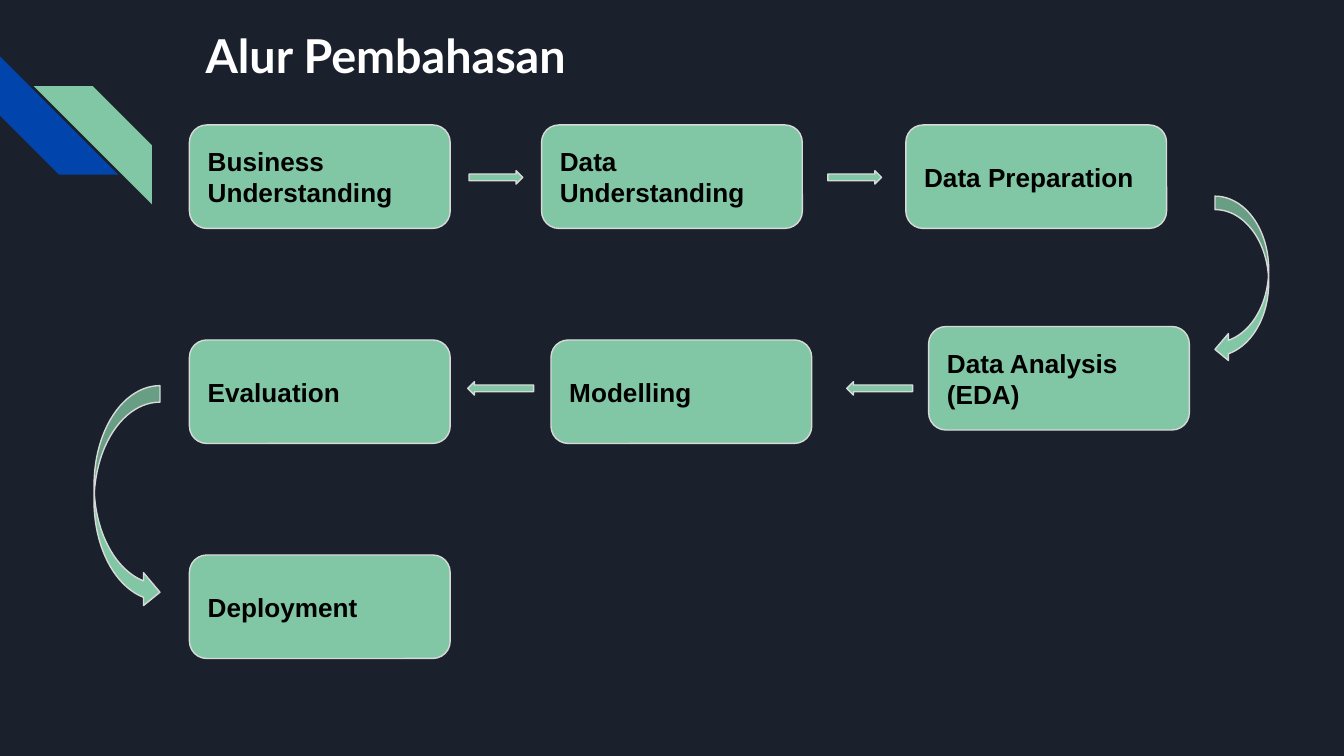
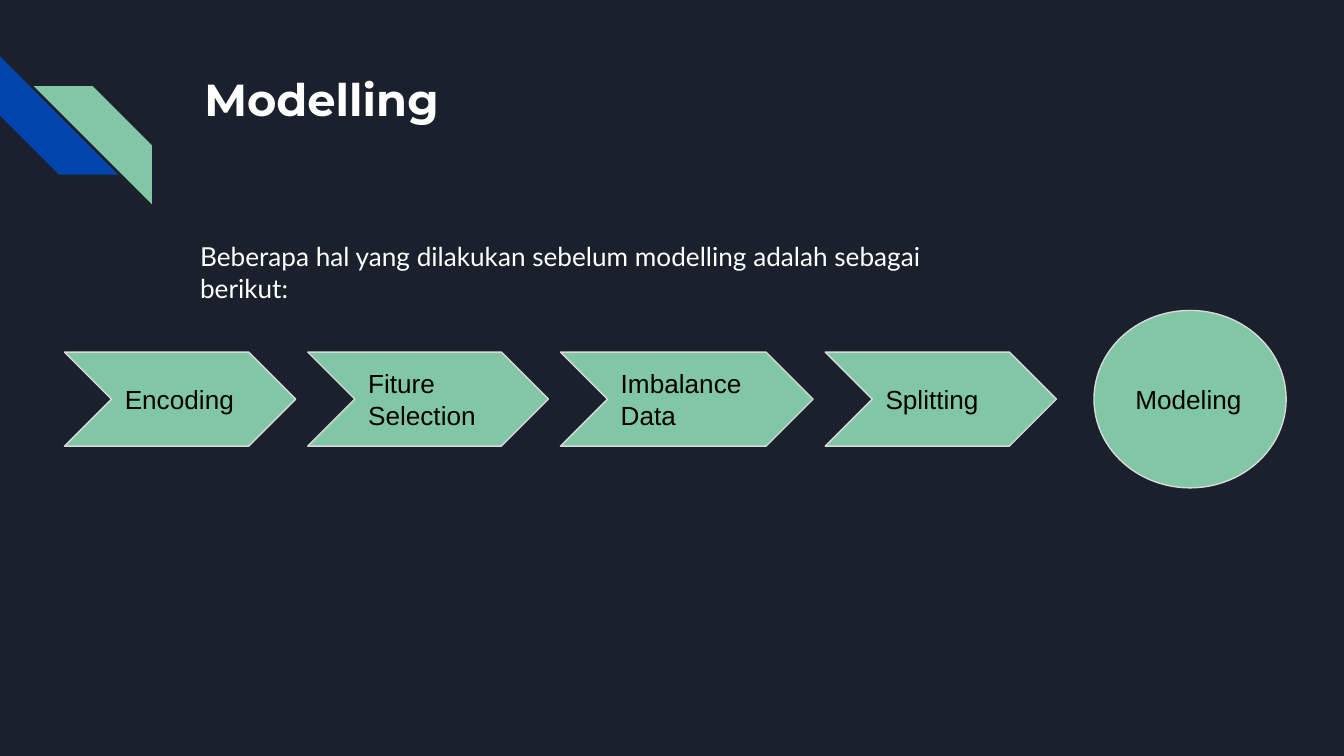
from pptx import Presentation
from pptx import util as u
from pptx.dml.color import RGBColor
from pptx.enum import shapes, text

In = u.Inches
Kind = shapes.MSO_SHAPE
NAVY, BLUE, GREEN = "1B212C", "0145AC", "82C7A5"
GREY, WHITE, BLACK = "D9D9D9", "FFFFFF", "000000"


def paint(fmt, color):
    fmt.solid()
    fmt.fore_color.rgb = RGBColor.from_string(color)


def draw(slide, kind, box, words="", fill=GREEN, line=GREY, ink=BLACK,
         font="Arial", bold=False, anchor=text.MSO_ANCHOR.MIDDLE):
    shape = slide.shapes.add_shape(kind, *map(In, box))
    shape.shadow.inherit = False
    paint(shape.fill, fill)
    if line:
        paint(shape.line.fill, line)
        shape.line.width = u.Pt(0.75)
    else:
        shape.line.fill.background()
    frame = shape.text_frame
    look = {"word_wrap": True, "vertical_anchor": anchor}
    look.update({f"margin_{side}": In(0.1)
                 for side in ("left", "top", "right", "bottom")})
    for name, value in look.items():
        setattr(frame, name, value)
    frame.text = words
    for para in frame.paragraphs:
        para.alignment = text.PP_ALIGN.LEFT
        for name, value in {"name": font, "size": u.Pt(14), "bold": bold}.items():
            setattr(para.font, name, value)
        paint(para.font.fill, ink)
    return shape


# Widescreen page, 16 to 9
prs = Presentation()
prs.slide_width = In(10)
prs.slide_height = In(10) * 9 // 16
master = prs.slide_master
paint(master.background.fill, NAVY)

# Slides and their titles
heads = [
    ("Alur Pembahasan", (1.43, 0.1, 6.06, 0.62), "Lato", 25),
    ("Modelling", (1.42, 0.43, 7.7, 1), "Montserrat", 24),
]
for words, box, font, size in heads:
    slide = prs.slides.add_slide(prs.slide_layouts[5])
    title = slide.shapes.title
    for name, value in zip(("left", "top", "width", "height"), box):
        setattr(title, name, In(value))
    frame = title.text_frame
    frame.text = words
    look = {"margin_left": In(0.1), "margin_top": In(0.1),
            "margin_right": In(0.1), "margin_bottom": In(0.1),
            "vertical_anchor": text.MSO_ANCHOR.TOP, "word_wrap": True,
            "auto_size": text.MSO_AUTO_SIZE.NONE}
    for name, value in look.items():
        setattr(frame, name, value)
    para = frame.paragraphs[0]
    para.alignment = text.PP_ALIGN.LEFT
    for name, value in {"name": font, "size": u.Pt(size), "bold": True}.items():
        setattr(para.font, name, value)
    paint(para.font.fill, WHITE)
flow, model = prs.slides

# Corner stripes, moved to the master so that both slides share them
blue = draw(flow, Kind.DIAGONAL_STRIPE, (0, 0.42, 0.88, 0.88), fill=BLUE, line=None)
blue.rotation = 270
green = draw(flow, Kind.DIAGONAL_STRIPE, (0.25, 0.64, 0.88, 0.88), line=None)
green.element.spPr.get_or_add_xfrm().set("flipH", "1")
for stripe in (blue, green):
    master.shapes.element.append(stripe.element)

# Slide 1: steps
steps = [
    ("Business\nUnderstanding", 1.41, 0.93),
    ("Data\nUnderstanding", 4.03, 0.93),
    ("Data Preparation", 6.74, 0.93),
    ("Data Analysis (EDA)", 6.91, 2.43),
    ("Modelling", 4.1, 2.53),
    ("Evaluation", 1.41, 2.53),
    ("Deployment", 1.41, 4.13),
]
for words, left, top in steps:
    draw(flow, Kind.ROUNDED_RECTANGLE, (left, top, 1.94, 0.77), words, bold=True)

# Slide 1: arrows between the steps
arrows = [
    (Kind.RIGHT_ARROW, (3.49, 1.27, 0.4, 0.1)),
    (Kind.RIGHT_ARROW, (6.16, 1.27, 0.4, 0.1)),
    (Kind.CURVED_LEFT_ARROW, (9.04, 1.46, 0.4, 1.24)),
    (Kind.LEFT_ARROW, (6.3, 2.84, 0.49, 0.1)),
    (Kind.LEFT_ARROW, (3.48, 2.84, 0.49, 0.1)),
    (Kind.CURVED_RIGHT_ARROW, (0.7, 2.87, 0.49, 1.66)),
]
for kind, box in arrows:
    draw(flow, kind, box)

# Slide 2: chain of chevrons with equal gaps
left = 0.48
chain = [("Encoding", 1.72), ("Fiture\nSelection", 1.79),
         ("Imbalance\nData", 1.88), ("Splitting", 1.72)]
for words, width in chain:
    draw(model, Kind.CHEVRON, (left, 2.62, width, 0.7), words)
    left += width + 0.09

# Slide 2: lead text and goal
draw(model, Kind.RECTANGLE, (1.39, 1.69, 6.02, 0.67),
     "Beberapa hal yang dilakukan sebelum modelling adalah sebagai berikut:",
     fill=NAVY, line=NAVY, ink=WHITE, font="Lato", anchor=text.MSO_ANCHOR.TOP)
draw(model, Kind.OVAL, (8.14, 2.31, 1.43, 1.32), "Modeling")

prs.save("out.pptx")
